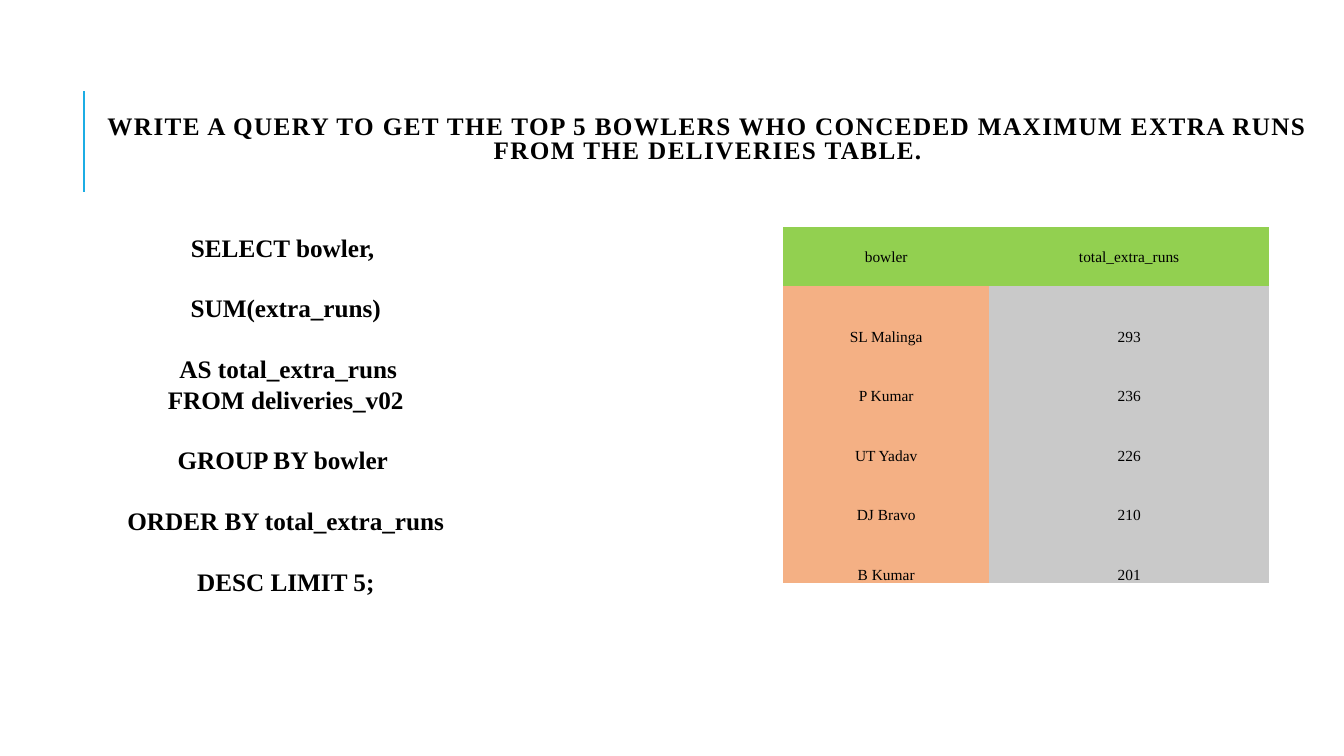
from pptx import Presentation
from pptx.dml.color import RGBColor
from pptx.enum.shapes import MSO_CONNECTOR
from pptx.enum.text import MSO_ANCHOR, MSO_AUTO_SIZE, PP_ALIGN
from pptx.oxml.ns import qn
from pptx.util import Inches, Pt
from lxml import etree

CENTER = PP_ALIGN.CENTER
MIDDLE, BOTTOM = MSO_ANCHOR.MIDDLE, MSO_ANCHOR.BOTTOM
STRAIGHT = MSO_CONNECTOR.STRAIGHT
NO_FIT = MSO_AUTO_SIZE.NONE

TITLE = ("WRITE A QUERY TO GET THE TOP 5 BOWLERS WHO CONCEDED MAXIMUM "
         "EXTRA RUNS FROM THE DELIVERIES TABLE.")
QUERY = [
    ("SELECT bowler, ", False),
    ("SUM(extra_runs)", True),
    (" AS total_extra_runs", True),
    (" FROM deliveries_v02 ", False),
    ("GROUP BY bowler ", True),
    ("ORDER BY total_extra_runs", True),
    ("DESC LIMIT 5;", True),
]
RESULT = [
    ("bowler", "total_extra_runs"),
    ("SL Malinga", "293"),
    ("P Kumar", "236"),
    ("UT Yadav", "226"),
    ("DJ Bravo", "210"),
    ("B Kumar", "201"),
]
FONT, BLACK, BLUE = "Times New Roman", "000000", "1CADE4"
HEADER_FILL, COLUMN_FILLS = "92D050", ("F4B084", "C9C9C9")
LEFT, CONTENT_TOP = 0.9, 2.25
COLUMN_WIDTHS, ROW_HEIGHT = (2.04, 2.78), 0.59
QUERY_LINE = 21.7
NO_TABLE_STYLE = "{2D5ABB26-0587-4C30-8999-92F81FD0307C}"


def color(value):
    """Turn a hex string into a colour."""
    return RGBColor.from_string(value)


def write(para, text, size=18, bold=True, line=None, before=0, tracking=None):
    """Fill a centred paragraph with one formatted span."""
    para.alignment = CENTER
    para.space_before = Pt(before)
    if line is not None:
        para.line_spacing = line
    span = para.add_run()
    span.text = text
    span.font.name = FONT
    span.font.size = Pt(size)
    span.font.bold = bold
    span.font.color.rgb = color(BLACK)
    if tracking:
        span.font._element.set("spc", str(tracking * 100))


def add_title(page):
    """Place the title and the accent line beside it."""
    title = page.shapes.title
    title.left, title.top = Inches(LEFT), Inches(0.93)
    title.width, title.height = Inches(12.24), Inches(0.92)
    frame = title.text_frame
    frame.word_wrap = True
    frame.auto_size = NO_FIT
    frame.vertical_anchor = MIDDLE
    write(frame.paragraphs[0], TITLE, line=0.8, tracking=1)

    accent = page.shapes.add_connector(
        STRAIGHT, Inches(0.83), Inches(1.9), Inches(0.83), Inches(0.9))
    accent.line.color.rgb = color(BLUE)
    accent.line.width = Pt(1.5)
    etree.SubElement(accent._element.spPr, qn("a:effectLst"))


def add_query(page):
    """Write the query, with a line of space above each new clause."""
    box = page.shapes.add_textbox(
        Inches(LEFT), Inches(CONTENT_TOP), Inches(3.87), Inches(3.74))
    frame = box.text_frame
    frame.word_wrap = True
    for index, (text, gap) in enumerate(QUERY):
        para = frame.add_paragraph() if index else frame.paragraphs[0]
        write(para, text, line=Pt(QUERY_LINE), before=QUERY_LINE if gap else 0)


def add_result(page):
    """Build the result table."""
    holder = page.shapes.add_table(
        len(RESULT), len(COLUMN_WIDTHS), Inches(7.77), Inches(CONTENT_TOP),
        Inches(sum(COLUMN_WIDTHS)), Inches(ROW_HEIGHT * len(RESULT)))
    table = holder.table
    table.horz_banding = False
    for style in holder._element.iter(qn("a:tableStyleId")):
        style.text = NO_TABLE_STYLE
    for column, width in zip(table.columns, COLUMN_WIDTHS):
        column.width = Inches(width)
    for row, values in enumerate(RESULT):
        table.rows[row].height = Inches(ROW_HEIGHT)
        for column, value in enumerate(values):
            cell = table.cell(row, column)
            cell.margin_left = cell.margin_right = cell.margin_top = Inches(0.01)
            cell.margin_bottom = 0
            cell.vertical_anchor = BOTTOM if row else MIDDLE
            cell.fill.solid()
            cell.fill.fore_color.rgb = color(
                COLUMN_FILLS[column] if row else HEADER_FILL)
            write(cell.text_frame.paragraphs[0], value, size=11, bold=False)


def main():
    """Build and save the slide."""
    deck = Presentation()
    deck.slide_width, deck.slide_height = Inches(13.33), Inches(7.5)
    page = deck.slides.add_slide(deck.slide_layouts[5])
    add_title(page)
    add_query(page)
    add_result(page)
    deck.save("out.pptx")


if __name__ == "__main__":
    main()
